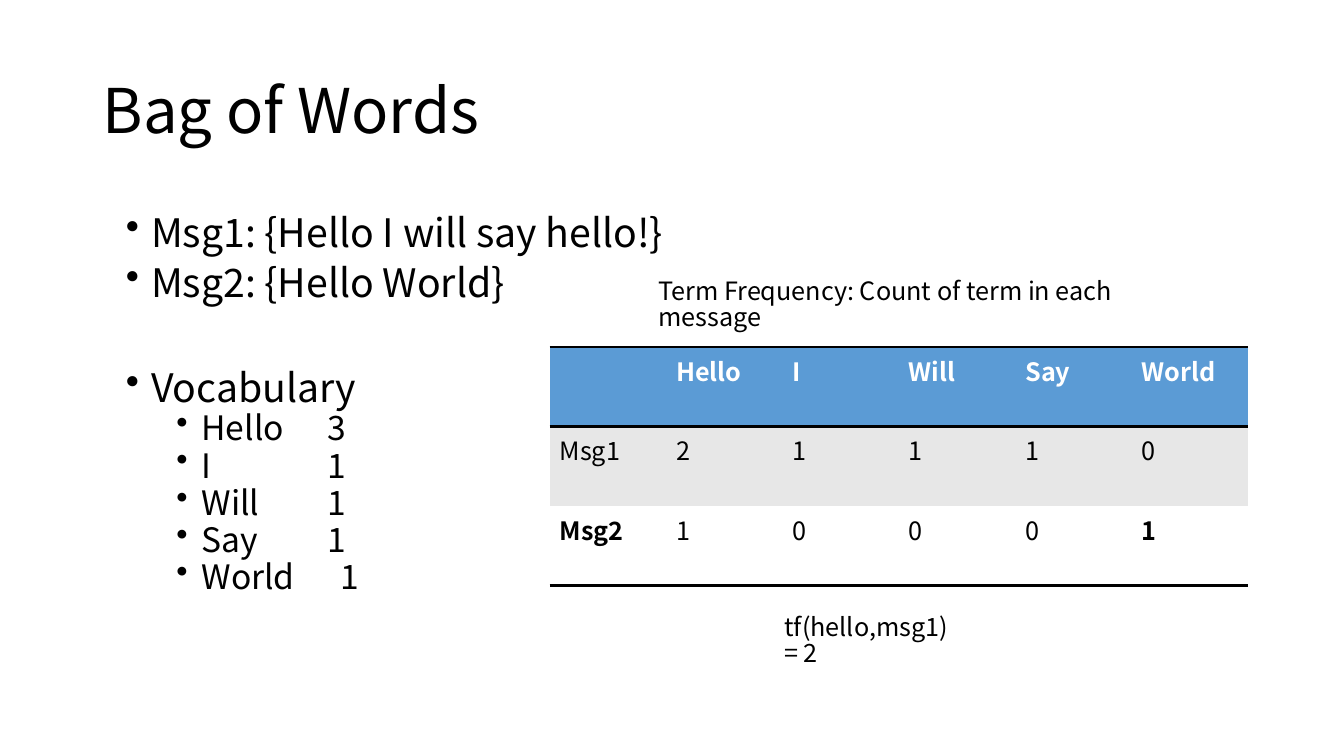
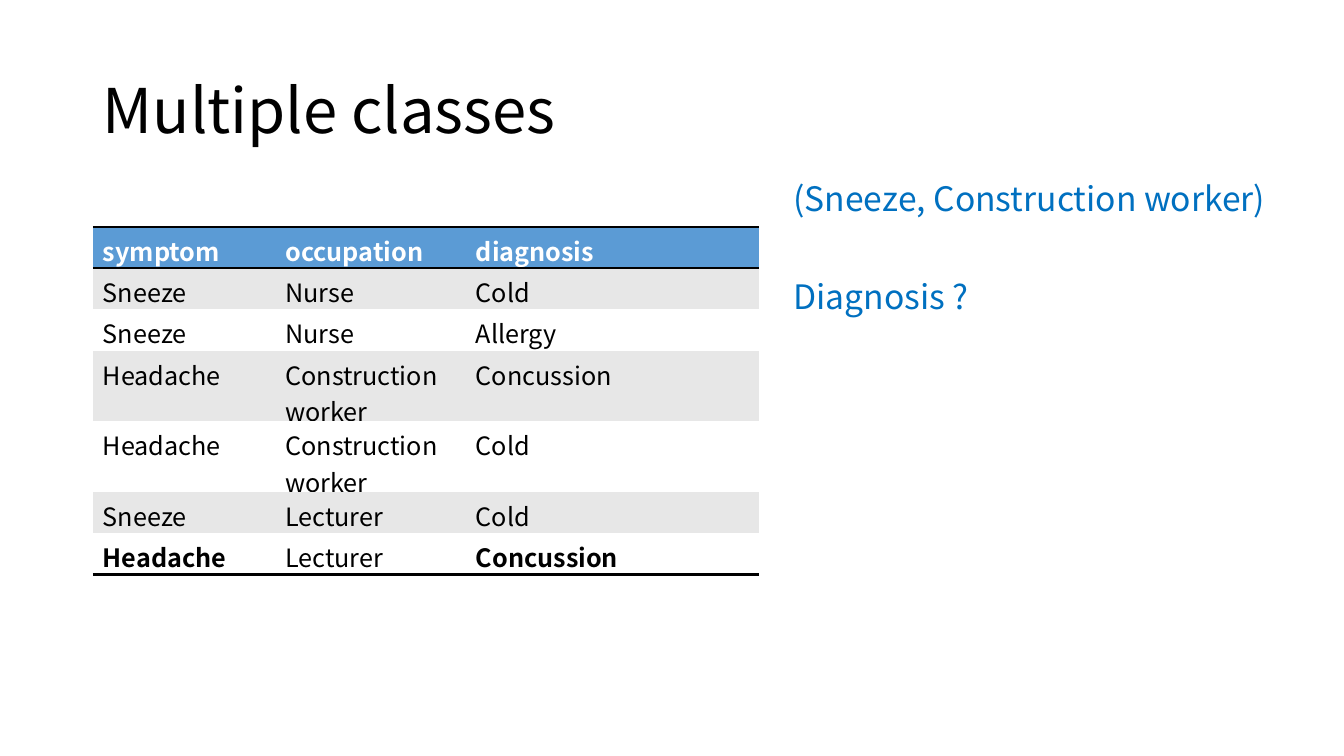
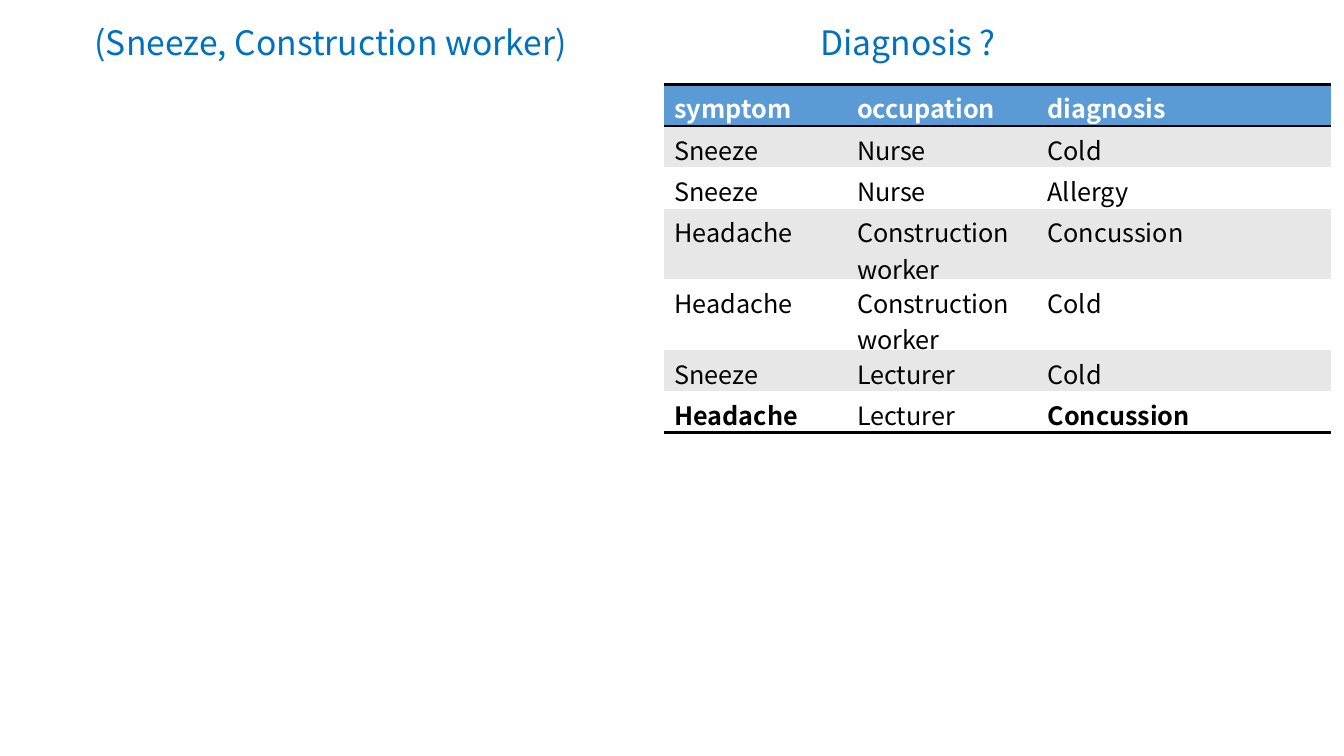
from dataclasses import dataclass

from lxml.etree import SubElement
from pptx import Presentation
from pptx.dml.color import RGBColor
from pptx.enum.text import MSO_ANCHOR
from pptx.oxml.ns import qn
from pptx.util import Inches, Pt


@dataclass(frozen=True)
class Theme:
    font: str = "Noto Sans CJK SC"
    ink: str = "000000"
    paper: str = "FFFFFF"
    header: str = "5B9BD5"
    band: str = "E7E7E7"
    question: str = "0070C0"
    title_size: int = 44
    bullet_size: int = 28
    sub_bullet_size: int = 24
    question_size: int = 24
    text_size: int = 18
    rule_width: int = 2


class Deck:
    def __init__(self, theme):
        self.theme = theme
        self.file = Presentation()
        self.file.slide_width = Inches(13.33)
        self.file.slide_height = Inches(7.5)
        self.slide = None

    def new_slide(self, title=None):
        self.slide = self.file.slides.add_slide(self.file.slide_layouts[6])
        if title:
            frame = self.frame(0.92, 0.4, 11.5, 1.45, MSO_ANCHOR.MIDDLE)
            self.add_text(frame.paragraphs[0], title, self.theme.title_size, spacing=0.9)

    def frame(self, left, top, width, height, anchor=MSO_ANCHOR.TOP):
        box = self.slide.shapes.add_textbox(
            Inches(left), Inches(top), Inches(width), Inches(height))
        box.text_frame.word_wrap = True
        box.text_frame.vertical_anchor = anchor
        return box.text_frame

    def add_text(self, paragraph, text, size, color=None, bold=False,
                 spacing=None, before=0):
        if spacing:
            paragraph.line_spacing = spacing
        paragraph.space_before = Pt(before)
        run = paragraph.add_run()
        run.text = text
        run.font.name = self.theme.font
        run.font.size = Pt(size)
        run.font.bold = bold
        run.font.color.rgb = RGBColor.from_string(color or self.theme.ink)

    def caption(self, left, top, width, height, text, inset=0.1):
        frame = self.frame(left, top, width, height)
        frame.margin_left = frame.margin_right = Inches(inset)
        frame.margin_top = frame.margin_bottom = Inches(inset / 2)
        self.add_text(frame.paragraphs[0], text, self.theme.text_size, spacing=0.85)

    def question(self, left, top, width, height, lines):
        frame = self.frame(left, top, width, height, MSO_ANCHOR.MIDDLE)
        for index, line in enumerate(lines):
            paragraph = frame.add_paragraph() if index else frame.paragraphs[0]
            self.add_text(paragraph, line, self.theme.question_size,
                          self.theme.question, spacing=0.9, before=44 if index else 0)

    def bullets(self, left, top, width, height, items):
        """Each item is (text, level, space before, tab stop or None)."""
        frame = self.frame(left, top, width, height)
        sizes = self.theme.bullet_size, self.theme.sub_bullet_size
        for index, (text, level, before, tab) in enumerate(items):
            paragraph = frame.add_paragraph() if index else frame.paragraphs[0]
            self.add_text(paragraph, text, sizes[level], spacing=0.75, before=before)
            props = paragraph._p.get_or_add_pPr()
            props.set("marL", str(Inches(0.25 + 0.5 * level)))
            props.set("indent", str(Inches(-0.25)))
            SubElement(props, qn("a:buChar"), char="•")
            if tab:
                stops = SubElement(props, qn("a:tabLst"))
                SubElement(stops, qn("a:tab"), pos=str(Inches(tab)), algn="l")

    def border(self, cell, side, ruled):
        line = SubElement(cell._tc.get_or_add_tcPr(), qn(f"a:ln{side}"))
        if ruled:
            line.set("w", str(Pt(self.theme.rule_width)))
            fill = SubElement(line, qn("a:solidFill"))
            SubElement(fill, qn("a:srgbClr"), val=self.theme.ink)
        else:
            line.set("w", "0")
            SubElement(line, qn("a:noFill"))

    def table(self, left, top, widths, row_height, rows):
        """Header row, banded body, bold outer cells in the last row."""
        theme = self.theme
        last_row, last_column = len(rows) - 1, len(widths) - 1
        table = self.slide.shapes.add_table(
            len(rows), len(widths), Inches(left), Inches(top),
            Inches(sum(widths)), Inches(row_height * len(rows))).table
        table.first_row = table.horz_banding = False
        for column, width in zip(table.columns, widths):
            column.width = Inches(width)
        for r, row in enumerate(rows):
            table.rows[r].height = Inches(row_height)
            fill = theme.header if r == 0 else (theme.paper, theme.band)[r % 2]
            for c, text in enumerate(row):
                cell = table.cell(r, c)
                ruled = {"T": r in (0, 1), "B": r in (0, last_row)}
                for side in "LRTB":
                    self.border(cell, side, ruled.get(side, False))
                cell.fill.solid()
                cell.fill.fore_color.rgb = RGBColor.from_string(fill)
                if text:
                    corner = r == last_row and c in (0, last_column)
                    self.add_text(cell.text_frame.paragraphs[0], text, theme.text_size,
                                  theme.paper if r == 0 else theme.ink,
                                  bold=r == 0 or corner)


TERM_COUNTS = [
    ("", "Hello", "I", "Will", "Say", "World"),
    ("Msg1", "2", "1", "1", "1", "0"),
    ("Msg2", "1", "0", "0", "0", "1"),
]
VOCABULARY = [("Hello", 3, 2), ("I", 1, 2), ("Will", 1, 2), ("Say", 1, 2),
              ("World", 1, 2.13)]
PATIENTS = [
    ("symptom", "occupation", "diagnosis"),
    ("Sneeze", "Nurse", "Cold"),
    ("Sneeze", "Nurse", "Allergy"),
    ("Headache", "Construction worker", "Concussion"),
    ("Headache", "Construction worker", "Cold"),
    ("Sneeze", "Lecturer", "Cold"),
    ("Headache", "Lecturer", "Concussion"),
]
PATIENT_WIDTHS = (1.81, 1.89, 2.91)
CASE = "(Sneeze, Construction worker)"
ASKED = "Diagnosis ?"


def bag_of_words(deck):
    deck.new_slide("Bag of Words")
    messages = [("Msg1: {Hello I will say hello!}", 0, 0, None),
                ("Msg2: {Hello World}", 0, 10, None),
                ("Vocabulary", 0, 50, None)]
    words = [(f"{word}\t{count}", 1, 5, tab) for word, count, tab in VOCABULARY]
    deck.bullets(1.15, 2.13, 6.22, 4.76, messages + words)
    deck.table(5.45, 3.44, [6.93 / 6] * 6, 0.79, TERM_COUNTS)
    deck.caption(6.43, 2.73, 5.35, 0.4,
                 "Term Frequency: Count of term in each message")
    deck.caption(7.78, 6.11, 1.8, 0.3, "tf(hello,msg1) = 2", inset=0)


def multiple_classes(deck):
    deck.new_slide("Multiple classes")
    deck.table(0.92, 2.25, PATIENT_WIDTHS, 0.41, PATIENTS)
    deck.question(7.77, 1.62, 5.35, 1.71, [CASE, ASKED])


def diagnosis_question(deck):
    deck.new_slide()
    deck.table(6.59, 0.84, PATIENT_WIDTHS, 0.41, PATIENTS)
    deck.question(0.84, 0, 5.35, 0.88, [CASE])
    deck.question(8.04, 0, 5, 0.88, [ASKED])


def main():
    deck = Deck(Theme())
    for build in (bag_of_words, multiple_classes, diagnosis_question):
        build(deck)
    deck.file.save("out.pptx")


if __name__ == "__main__":
    main()
